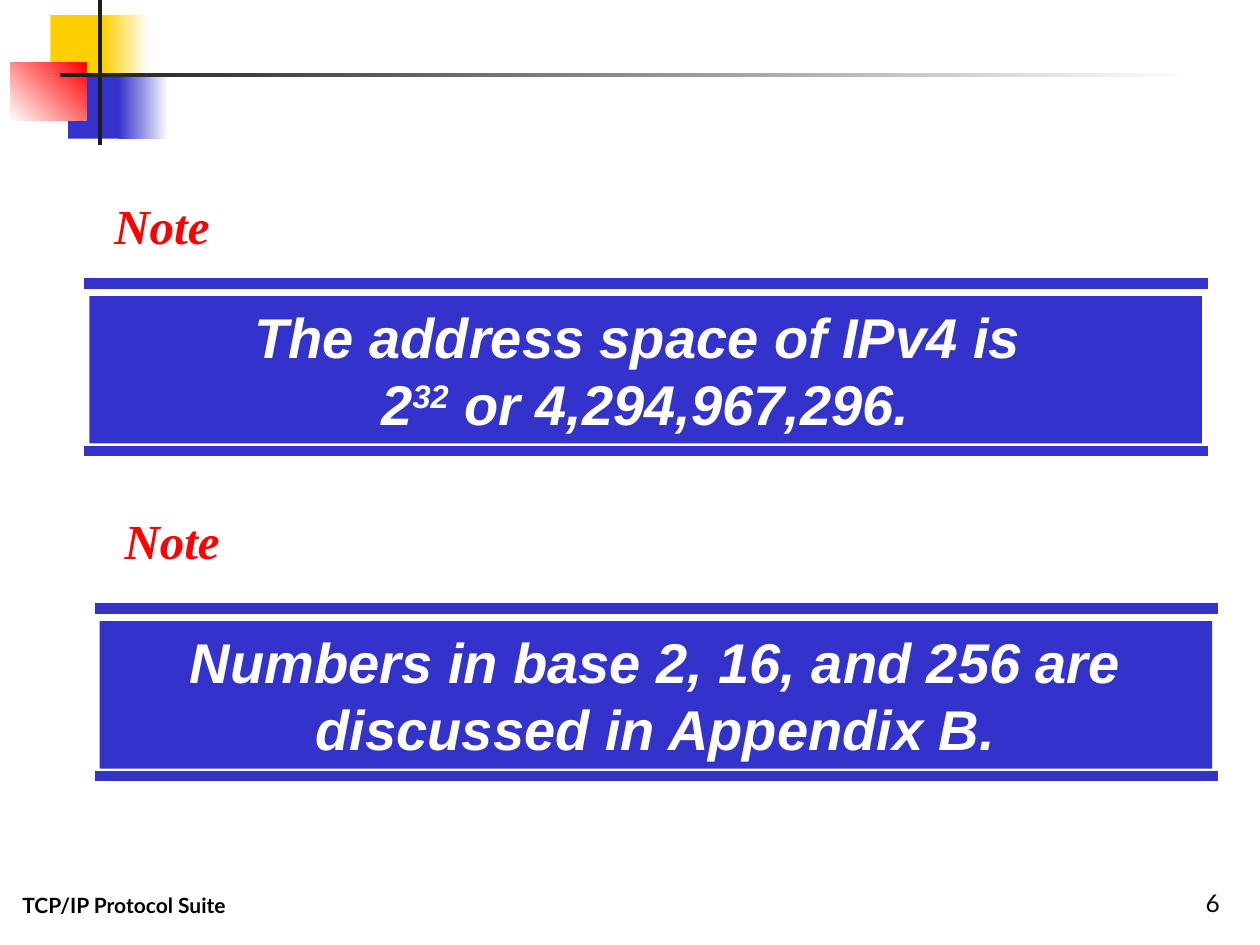
import pptx
import pptx.util
import pptx.dml.color
import pptx.enum.shapes
import pptx.enum.text
import pptx.oxml

Inches = pptx.util.Inches
RGBColor = pptx.dml.color.RGBColor
PP_ALIGN = pptx.enum.text.PP_ALIGN
MSO_ANCHOR = pptx.enum.text.MSO_ANCHOR
AUTO_SIZE = pptx.enum.text.MSO_AUTO_SIZE

BLUE = RGBColor(0x33, 0x33, 0xCC)
YELLOW = RGBColor(0xFF, 0xCF, 0x01)
RED = RGBColor(0xFF, 0x00, 0x00)
DARK = RGBColor(0x1C, 0x1C, 0x1C)
BLACK = RGBColor(0x00, 0x00, 0x00)
WHITE = RGBColor(0xFF, 0xFF, 0xFF)

EMPTY_EFFECTS = ('<a:effectLst xmlns:a='
                 '"http://schemas.openxmlformats.org/drawingml/2006/main"/>')
SUPERSCRIPT = "30000"


class NoteSlide:
    formats = {
        "footer": {"name": "Lato", "size": 12, "bold": True, "color": BLACK},
        "number": {"name": "Lato", "size": 14, "color": BLACK},
        "label": {"name": "Times New Roman", "size": 28, "bold": True,
                  "italic": True, "color": RED},
        "statement": {"name": "Arial", "size": 32, "bold": True,
                      "italic": True, "color": WHITE},
    }

    def __init__(self, page):
        self.page = page

    def apply_format(self, font, format_name):
        for key, value in self.formats[format_name].items():
            if key == "color":
                font.color.rgb = value
            else:
                setattr(font, key, pptx.util.Pt(value) if key == "size" else value)

    def add_lines(self, para, lines, format_name):
        """Put lines of (text, is_superscript) spans into one paragraph."""
        for index, line in enumerate(lines):
            if index:
                para.add_line_break()
            for text, raised in line:
                span = para.add_run()
                span.text = text
                self.apply_format(span.font, format_name)
                if raised:
                    span._r.get_or_add_rPr().set("baseline", SUPERSCRIPT)

    def text(self, place, content, format_name, wrap=True,
             align=PP_ALIGN.LEFT, anchor=MSO_ANCHOR.TOP, auto_size=AUTO_SIZE.NONE):
        box = self.page.shapes.add_textbox(*map(Inches, place))
        frame = box.text_frame
        frame.word_wrap = wrap
        frame.auto_size = auto_size
        frame.vertical_anchor = anchor
        frame.paragraphs[0].alignment = align
        self.add_lines(frame.paragraphs[0], [[(content, False)]], format_name)

    def rectangle(self, place, color, end_color=None, angle=0):
        """Draw a plain rectangle, or a gradient one if end_color is given."""
        box = self.page.shapes.add_shape(
            pptx.enum.shapes.MSO_SHAPE.RECTANGLE, *map(Inches, place))
        box.shadow.inherit = False
        box.line.fill.background()
        if end_color is None:
            box.fill.solid()
            box.fill.fore_color.rgb = color
        else:
            box.fill.gradient()
            box.fill.gradient_angle = angle
            for stop, stop_color in zip(box.fill.gradient_stops, (color, end_color)):
                stop.color.rgb = stop_color
        return box

    def rule(self, left, top, width):
        line = self.page.shapes.add_connector(
            pptx.enum.shapes.MSO_CONNECTOR.STRAIGHT,
            Inches(left), Inches(top), Inches(left + width), Inches(top))
        line.line.color.rgb = BLUE
        line.line.width = pptx.util.Pt(6)
        line._element.spPr.append(pptx.oxml.parse_xml(EMPTY_EFFECTS))

    def note(self, left, top, label_top, lines):
        """Draw a label above a blue statement framed by two rules."""
        for offset in (0, 1.33):
            self.rule(left, top + offset, 8.92)
        box = self.rectangle((left + 0.04, top + 0.1, 8.83, 1.17), BLUE)
        frame = box.text_frame
        frame.word_wrap = True
        frame.auto_size = AUTO_SIZE.SHAPE_TO_FIT_TEXT
        frame.vertical_anchor = MSO_ANCHOR.TOP
        frame.paragraphs[0].alignment = PP_ALIGN.CENTER
        self.add_lines(frame.paragraphs[0], lines, "statement")
        self.text((left + 0.14, label_top, 0.96, 0.57), "Note", "label",
                  wrap=False, auto_size=AUTO_SIZE.SHAPE_TO_FIT_TEXT)

    def corner_ornament(self):
        self.rectangle((0.4, 0.12, 0.48, 0.52), YELLOW)
        self.rectangle((0.82, 0.12, 0.36, 0.52), YELLOW, WHITE)
        self.rectangle((0.54, 0.58, 0.46, 0.52), BLUE)
        self.rectangle((0.94, 0.58, 0.4, 0.52), BLUE, WHITE)
        self.rectangle((0.08, 0.5, 0.61, 0.46), WHITE, RED, angle=45)
        self.rectangle((0.78, 0, 0.03, 1.15), DARK)
        self.rectangle((0.48, 0.58, 9, 0.03), DARK, WHITE)


def main():
    deck = pptx.Presentation()
    deck.slide_width = Inches(10)
    deck.slide_height = Inches(7.5)
    slide = NoteSlide(deck.slides.add_slide(deck.slide_layouts[6]))

    slide.text((0.08, 6.83, 3.17, 0.5), "TCP/IP Protocol Suite", "footer",
               anchor=MSO_ANCHOR.BOTTOM)
    slide.text((7.7, 6.83, 2.08, 0.5), "6", "number",
               align=PP_ALIGN.RIGHT, anchor=MSO_ANCHOR.BOTTOM)
    slide.corner_ornament()
    slide.note(0.67, 2.25, 1.5, [
        [("The address space of IPv4 is ", False)],
        [("2", False), ("32", True), (" or 4,294,967,296.", False)],
    ])
    slide.note(0.75, 4.83, 4, [
        [("Numbers in base 2, 16, and 256 are discussed in Appendix B.", False)],
    ])
    deck.save("out.pptx")


if __name__ == "__main__":
    main()
